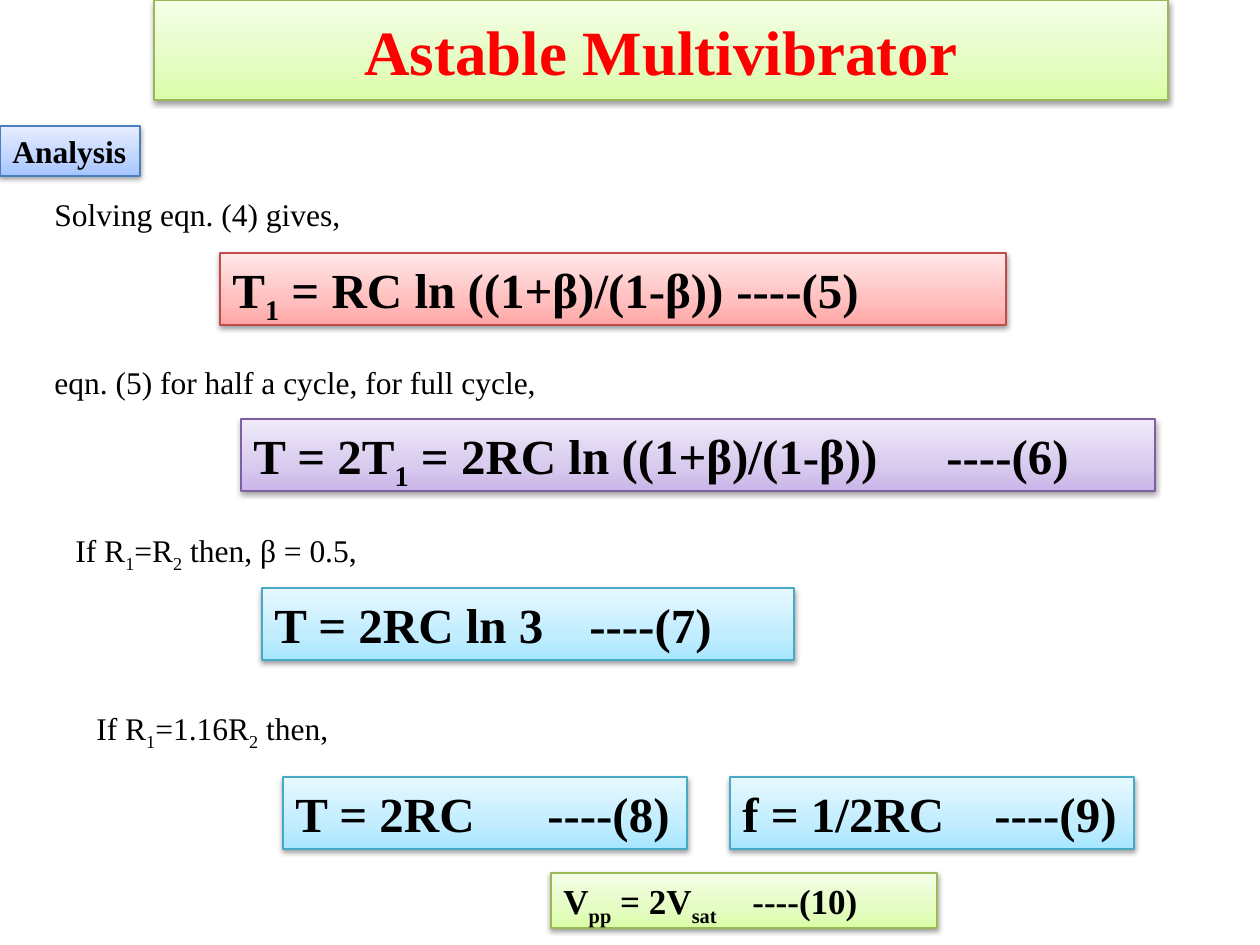
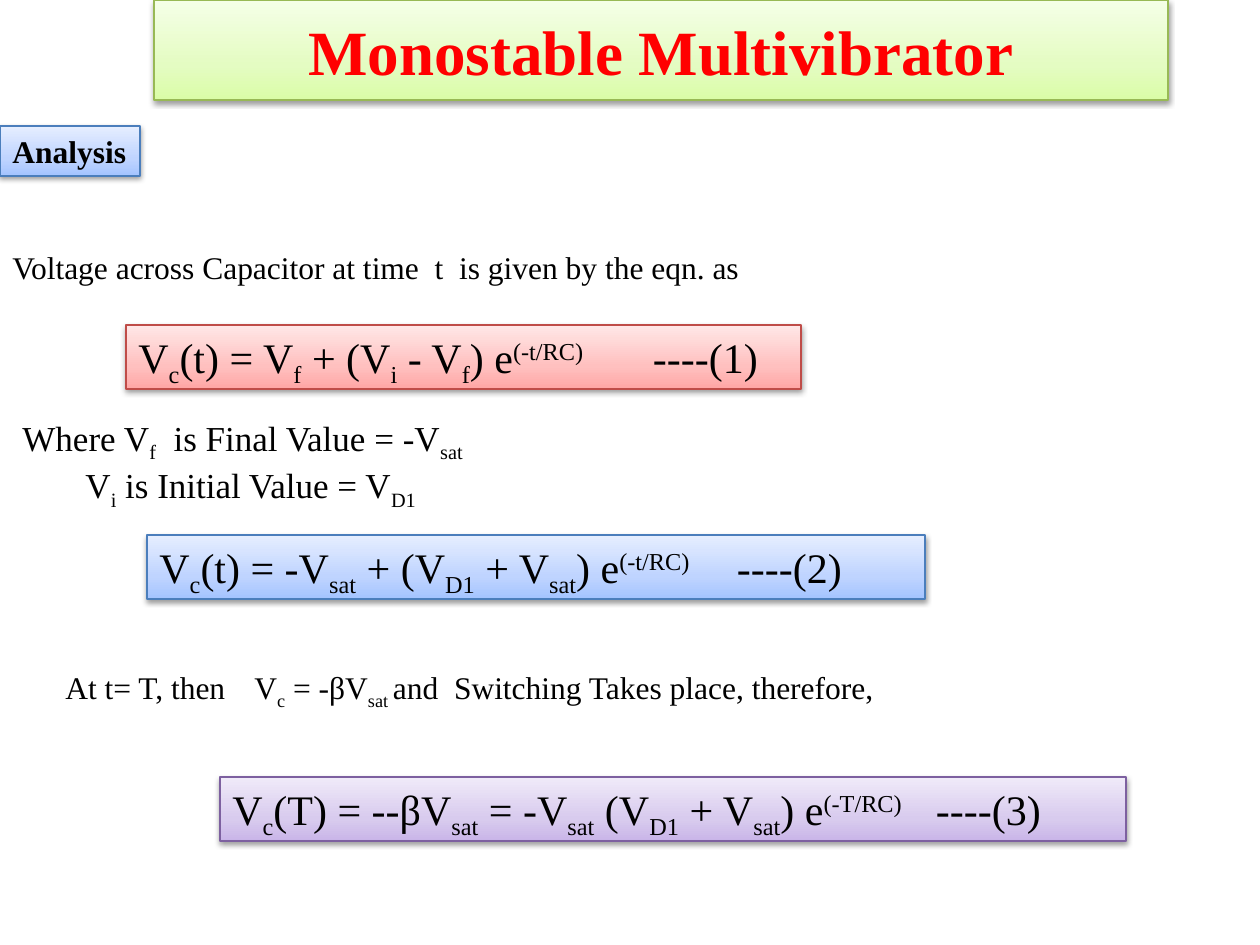
from copy import deepcopy
from lxml.etree import SubElement
from pptx import Presentation
from pptx.dml.color import RGBColor as Rgb
from pptx.enum.shapes import MSO_SHAPE as Kind
from pptx.enum.text import MSO_ANCHOR as Anchor, MSO_AUTO_SIZE as Fit, PP_ALIGN as Align
from pptx.oxml.ns import qn
from pptx.util import Pt

SCALE = 914400 / 126  # EMU in one px
FONT = "Times New Roman"
BLACK = Rgb(0, 0, 0)
RED = Rgb(0xFF, 0, 0)
STOPS = (0, 0.35, 1)


def tint(line, *stops):
    """Line colour, then the gradient colours from bottom to top."""
    return Rgb.from_string(line), [Rgb.from_string(s) for s in stops]


GREEN = tint("98B955", "DAFDA7", "E4FCC2", "F5FFE7")
BLUE = tint("4B7EBC", "A4C4FF", "BFD4FF", "E6EEFF")
ROSE = tint("BF4C48", "FFA6A5", "FFC0BF", "FFE7E7")
VIOLET = tint("7D60A0", "C9B5E8", "D8CBEE", "F0EAF9")
AQUA = tint("46AAC5", "A7E6FF", "C1EDFF", "E7F8FF")


def emu(*px):
    return [round(p * SCALE) for p in px]


class Deck:
    def __init__(self):
        self.prs = Presentation()
        self.prs.slide_width, self.prs.slide_height = emu(1260, 945)
        self.slide = None

    def page(self, title):
        """Start a slide with the title band and the Analysis tag."""
        self.slide = self.prs.slides.add_slide(self.prs.slide_layouts[5])
        band = self.slide.shapes.title
        band.left, band.top, band.width, band.height = emu(154, 0, 1014, 100)
        self.paint(band, GREEN)
        frame = band.text_frame
        frame.vertical_anchor = Anchor.MIDDLE
        self.runs(frame.paragraphs[0], title, 36, True, RED, Align.CENTER)
        self.box(0, 126, 140, 50, BLUE, "Analysis", 18, True)

    def paint(self, shape, hue):
        """Gradient fill, thin line and soft shadow."""
        line, cols = hue
        shape.fill.gradient()
        shape.fill.gradient_angle = 90
        stops = shape._element.spPr.find(".//" + qn("a:gsLst"))
        stops.append(deepcopy(stops[-1]))
        for stop, pos, col in zip(shape.fill.gradient_stops, STOPS, cols):
            stop.position, stop.color.rgb = pos, col
        shape.line.color.rgb = line
        shape.line.width = Pt(0.75)
        shape.shadow.inherit = False
        glow = SubElement(shape._element.spPr.find(qn("a:effectLst")), qn("a:outerShdw"),
                          blurRad="40000", dist="20000", dir="5400000", rotWithShape="0")
        ink = SubElement(glow, qn("a:srgbClr"), val="000000")
        SubElement(ink, qn("a:alpha"), val="38000")

    def runs(self, para, text, size, bold=False, col=BLACK, align=Align.LEFT):
        """Runs are split by |; a leading _ lowers a run and ^ raises it."""
        para.alignment = align
        for part in text.split("|"):
            run = para.add_run()
            run.text = part.lstrip("_^")
            font = run.font
            font.name, font.size, font.bold = FONT, Pt(size), bold
            font.color.rgb = col
            base = {"_": "-25000", "^": "30000"}.get(part[0])
            if base:
                run._r.get_or_add_rPr().set("baseline", base)

    def fill(self, shape, lines, size, bold=False):
        frame = shape.text_frame
        frame.word_wrap = False
        frame.auto_size = Fit.SHAPE_TO_FIT_TEXT
        frame.vertical_anchor = Anchor.TOP
        for i, line in enumerate(lines):
            para = frame.add_paragraph() if i else frame.paragraphs[0]
            self.runs(para, line, size, bold)

    def box(self, x, y, w, h, hue, text, size, bold=False):
        shape = self.slide.shapes.add_shape(Kind.RECTANGLE, *emu(x, y, w, h))
        self.paint(shape, hue)
        self.fill(shape, [text], size, bold)

    def note(self, x, y, w, h, *lines, size=18):
        self.fill(self.slide.shapes.add_textbox(*emu(x, y, w, h)), lines, size)


def astable(deck):
    deck.page("Astable Multivibrator")
    for x, y, w, text in (
        (42, 189, 323, "Solving eqn. (4) gives,"),
        (42, 357, 520, "eqn. (5) for half a cycle, for full cycle,"),
        (63, 525, 320, "If R|_1|=R|_2| then, β = 0.5,"),
        (84, 703, 262, "If R|_1|=1.16R|_2| then,"),
    ):
        deck.note(x, y, w, 50, text)
    for x, y, w, hue, text in (
        (220, 253, 786, ROSE, "T|_1| = RC ln ((1+β)/(1-β)) \t----(5)"),
        (241, 419, 914, VIOLET, "T = 2T|_1| = 2RC ln ((1+β)/(1-β)) \t----(6)"),
        (262, 588, 532, AQUA, "T = 2RC ln 3\t----(7)"),
        (283, 777, 404, AQUA, "T = 2RC \t----(8)"),
        (730, 777, 404, AQUA, "f = 1/2RC \t----(9)"),
    ):
        deck.box(x, y, w, 72, hue, text, 28, True)
    deck.box(551, 873, 386, 55, GREEN, "V|_pp| = 2V|_sat| \t----(10)", 20, True)


def mono(deck):
    deck.page("Monostable Multivibrator")
    deck.note(0, 242, 914, 50, "Voltage across Capacitor at time  t  is given by the eqn. as")
    deck.note(10, 410, 488, 97, "Where V|_f|  is Final Value = -V|_sat",
              "\tV|_i| is Initial Value = V|_D1", size=20)
    deck.note(53, 662, 917, 50,
              "At t= T, then\tV|_c| = -βV|_sat |and  Switching Takes place, therefore,")
    for x, y, w, hue, text in (
        (126, 325, 675, ROSE, "V|_c|(t) = V|_f| + (V|_i| - V|_f|) e|^(-t/RC)\t| ----(1)"),
        (147, 535, 778, BLUE,
         "V|_c|(t) = -V|_sat| + (V|_D1| + V|_sat|) e|^(-t/RC)\t| ----(2)"),
        (220, 777, 906, VIOLET,
         "V|_c|(T) = --βV|_sat| = -V|_sat| (V|_D1| + V|_sat|) e|^(-T/RC) \t| ----(3)"),
    ):
        deck.box(x, y, w, 64, hue, text, 24)


def main():
    deck = Deck()
    astable(deck)
    mono(deck)
    deck.prs.save("out.pptx")


if __name__ == "__main__":
    main()
